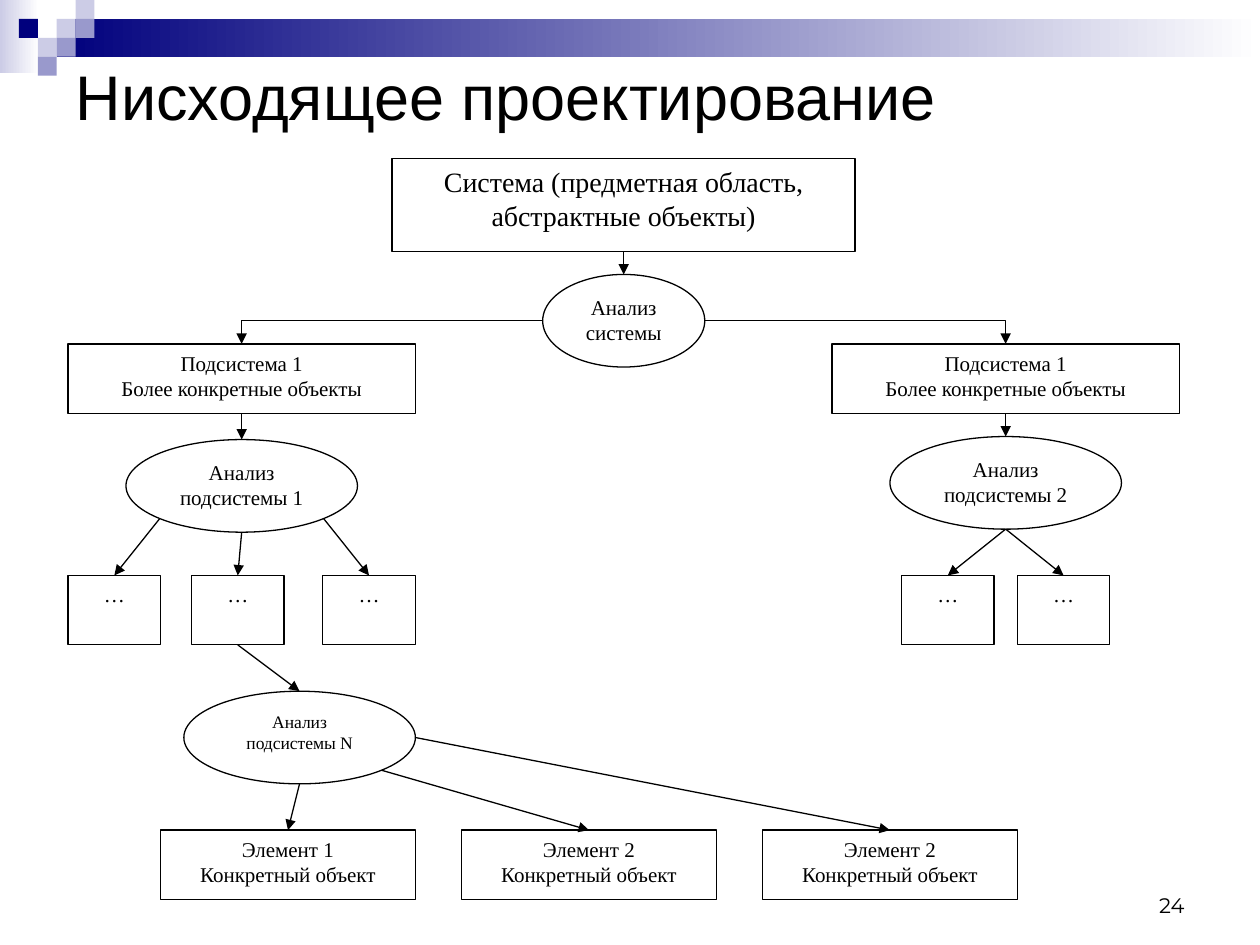
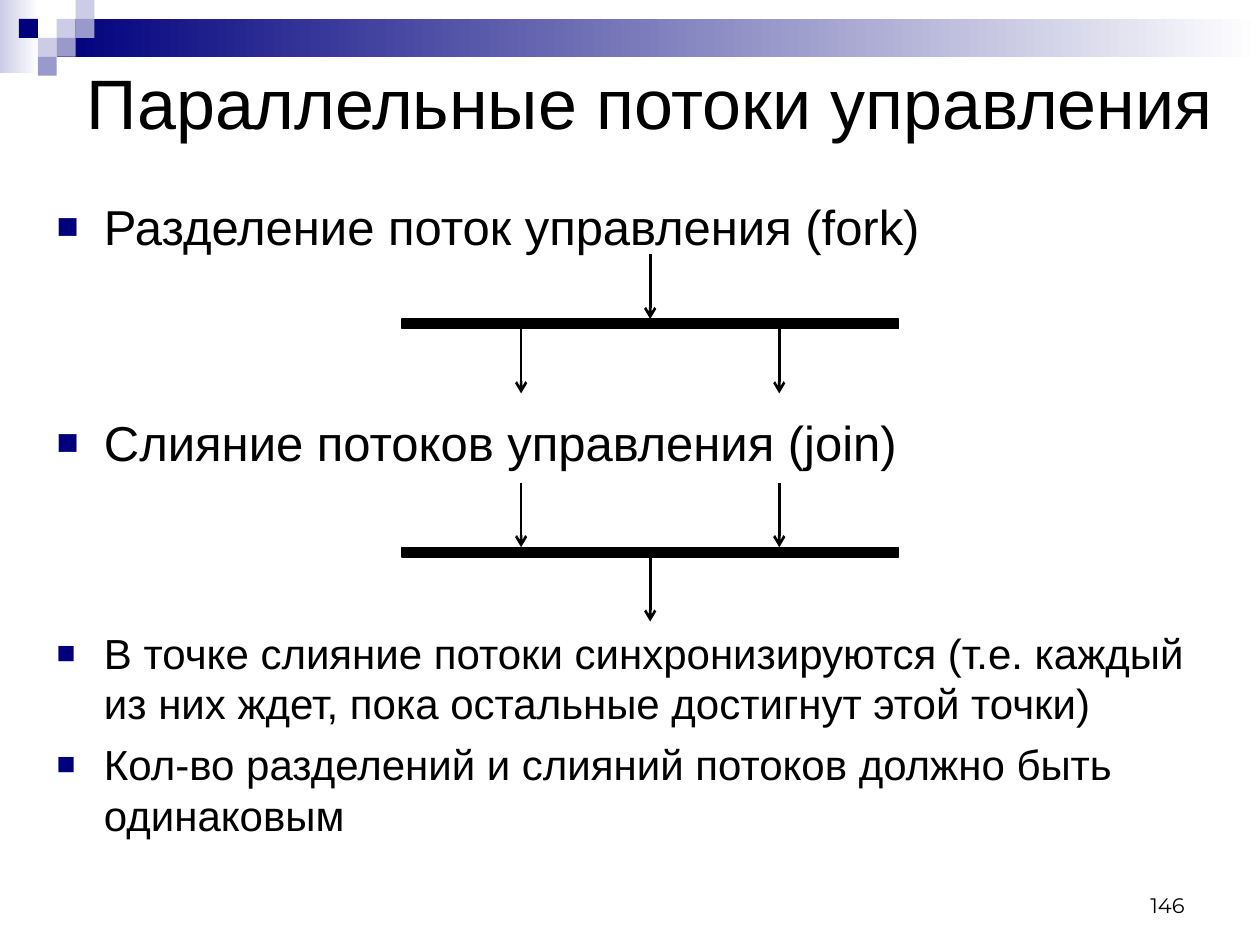
"""Build two lecture slides: a top-down design tree and parallel control flows."""
from collections import namedtuple
from dataclasses import dataclass

from lxml import etree
from pptx import Presentation
from pptx import util as u
from pptx.dml.color import RGBColor
from pptx.enum import shapes, text
from pptx.oxml import ns

Box = namedtuple("Box", "left top width height")
RECT, OVAL = shapes.MSO_SHAPE.RECTANGLE, shapes.MSO_SHAPE.OVAL
STRAIGHT, ELBOW = shapes.MSO_CONNECTOR.STRAIGHT, shapes.MSO_CONNECTOR.ELBOW
RECT_SITES = {"top": 0, "left": 1, "bottom": 2, "right": 3}
SITES = {"top": (0.5, 0), "left": (0, 0.5), "bottom": (0.5, 1), "right": (1, 0.5),
         "lower left": (0.146, 0.854), "lower right": (0.854, 0.854)}


@dataclass(frozen=True)
class Theme:
    """Colours, fonts and type sizes of the deck."""
    ink: str = "000000"
    paper: str = "FFFFFF"
    navy: str = "00007D"
    violet: str = "9999CC"
    lilac: str = "CCCCE6"
    sans: str = "Arial"
    serif: str = "Times New Roman"
    digits: str = "Montserrat"
    number: int = 12
    node: int = 12
    small_node: int = 10
    root_node: int = 16
    thin: float = 0.75
    thick: float = 1.5


THEME = Theme()


def rgb(name):
    """Return the colour for a hex string."""
    return RGBColor.from_string(name)


def points(values):
    """Turn numbers into lengths in points."""
    return [u.Pt(round(value, 2)) for value in values]


def set_font(para, name, size):
    """Give a paragraph its font, size and ink colour."""
    para.font.name, para.font.size = name, u.Pt(size)
    para.font.color.rgb = rgb(THEME.ink)


def add_shape(page, kind, box, fill, line=None):
    """Add a flat shape, outlined if a line colour is given."""
    shape = page.shapes.add_shape(kind, *points(box))
    shape.shadow.inherit = False
    shape.fill.solid()
    shape.fill.fore_color.rgb = rgb(fill)
    if line:
        shape.line.color.rgb = rgb(line)
        shape.line.width = u.Pt(THEME.thin)
    else:
        shape.line.fill.background()
    return shape


def add_arrow(page, start, end, head, width, kind=STRAIGHT):
    """Add a connector with an arrowhead at its end."""
    arrow = page.shapes.add_connector(kind, *points((*start, *end)))
    arrow.line.color.rgb = rgb(THEME.ink)
    arrow.line.width = u.Pt(width)
    etree.SubElement(arrow.line._get_or_add_ln(), ns.qn("a:tailEnd"), type=head)
    etree.SubElement(arrow.element.spPr, ns.qn("a:effectLst"))
    return arrow


def add_band(page, master):
    """Draw the gradient band and mosaic and move them to the master."""
    band = []
    for box, colour, first in ((Box(0, 0, 22.3, 41.8), THEME.lilac, 0),
                               (Box(32.4, 10.8, 687.6, 21.6), THEME.navy, 0)):
        strip = add_shape(page, RECT, box, colour)
        strip.fill.gradient()
        strip.fill.gradient_angle = 0
        for stop, position, tint in zip(strip.fill.gradient_stops, (0, 1),
                                        (colour, THEME.paper)):
            stop.position, stop.color.rgb = position, rgb(tint)
        band.append(strip)
    tile = 10.8
    for colour, cells in ((THEME.lilac, ((3, 1), (4, 0), (2, 2))),
                          (THEME.violet, ((4, 1), (3, 2), (2, 3))),
                          (THEME.navy, ((1, 1),))):
        for column, row in cells:
            box = Box(column * tile, row * tile, tile, tile)
            band.append(add_shape(page, RECT, box, colour))
    for shape in band:
        master.shapes.element.append(shape.element)


def place(holder, box):
    """Move a placeholder and return its text frame."""
    holder.left, holder.top, holder.width, holder.height = points(box)
    frame = holder.text_frame
    frame.word_wrap, frame.auto_size = True, text.MSO_AUTO_SIZE.NONE
    return frame


def add_title(page, box, words, size):
    """Fill the title placeholder."""
    frame = place(page.shapes.title, box)
    frame.vertical_anchor = text.MSO_ANCHOR.MIDDLE
    para = frame.paragraphs[0]
    para.text, para.alignment = words, text.PP_ALIGN.LEFT
    set_font(para, THEME.sans, size)


def add_number(page, number):
    """Write the page number at the lower right."""
    frame = page.shapes.add_textbox(*points((516.2, 491.8, 167.8, 36))).text_frame
    frame.word_wrap, frame.vertical_anchor = True, text.MSO_ANCHOR.BOTTOM
    para = frame.paragraphs[0]
    para.text, para.alignment = str(number), text.PP_ALIGN.RIGHT
    set_font(para, THEME.digits, THEME.number)


def add_list(page, box, items):
    """Fill the body placeholder with (text, size, space before) bullets."""
    frame = place(page.placeholders[1], box)
    frame.vertical_anchor = text.MSO_ANCHOR.TOP
    for index, (words, size, before) in enumerate(items):
        para = frame.add_paragraph() if index else frame.paragraphs[0]
        para.text, para.alignment = words, text.PP_ALIGN.LEFT
        para.space_before = u.Pt(before)
        props = para._p.get_or_add_pPr()
        props.set("marL", str(u.Pt(27)))
        props.set("indent", str(-u.Pt(27)))
        colour = etree.SubElement(props, ns.qn("a:buClr"))
        etree.SubElement(colour, ns.qn("a:srgbClr"), val=THEME.navy)
        etree.SubElement(props, ns.qn("a:buSzPct"), val="75000")
        etree.SubElement(props, ns.qn("a:buFont"), typeface=THEME.sans)
        etree.SubElement(props, ns.qn("a:buChar"), char="■")
        set_font(para, THEME.sans, size)


def site_of(shape, side):
    """Return the point on a shape's outline, in points."""
    across, down = SITES[side]
    return (shape.left.pt + across * shape.width.pt,
            shape.top.pt + down * shape.height.pt)


def link(page, source, side, target):
    """Lead an arrow from a side of one node to the top of another."""
    bent = side in ("left", "right") and source.top + source.height > target.top
    arrow = add_arrow(page, site_of(source, side), site_of(target, "top"),
                      "triangle", THEME.thin, ELBOW if bent else STRAIGHT)
    if bent:
        arrow.element.spPr.find(ns.qn("a:prstGeom")).set("prst", "bentConnector2")
        return
    if source.auto_shape_type == RECT:
        arrow.begin_connect(source, RECT_SITES[side])
    arrow.end_connect(target, RECT_SITES["top"])


def add_tree(page, box):
    """Draw the design tree on a grid of 48 columns across the box."""
    unit = box.width / 48

    def node(kind, column, row, width, height, *lines, size=THEME.node):
        """Add one captioned node at a grid position."""
        spot = Box(box.left + column * unit, box.top + row * unit,
                   width * unit, height * unit)
        shape = add_shape(page, kind, spot, THEME.paper, THEME.ink)
        frame = shape.text_frame
        frame.word_wrap, frame.vertical_anchor = True, text.MSO_ANCHOR.TOP
        for index, words in enumerate(lines):
            para = frame.add_paragraph() if index else frame.paragraphs[0]
            para.text, para.alignment = words, text.PP_ALIGN.CENTER
            set_font(para, THEME.serif, size)
        return shape

    root = node(RECT, 14, 0, 20, 4, "Система (предметная область, абстрактные объекты)",
                size=THEME.root_node)
    system = node(OVAL, 20.5, 5, 7, 4, "Анализ системы")
    link(page, root, "bottom", system)

    branches = (("left", 0, 12.13, "1", (("lower left", 0), ("bottom", 5.33),
                                         ("lower right", 11))),
                ("right", 33, 12, "2", (("bottom", 36), ("bottom", 41))))
    parts = []
    for side, column, row, mark, leaves in branches:
        subsystem = node(RECT, column, 8, 15, 3, "Подсистема 1",
                         "Более конкретные объекты")
        analysis = node(OVAL, column + 2.5, row, 10, 4, f"Анализ подсистемы {mark}")
        link(page, system, side, subsystem)
        link(page, subsystem, "bottom", analysis)
        for exit_side, leaf_column in leaves:
            parts.append(node(RECT, leaf_column, 18, 4, 3, "…"))
            link(page, analysis, exit_side, parts[-1])

    last = node(OVAL, 5, 23, 10, 4, "Анализ подсистемы N", size=THEME.small_node)
    link(page, parts[1], "bottom", last)
    exits = ("bottom", "lower right", "right")
    for index, (side, mark) in enumerate(zip(exits, "122")):
        element = node(RECT, 4 + 13 * index, 29, 11, 3, f"Элемент {mark}",
                       "Конкретный объект")
        link(page, last, side, element)


def add_sync(page, box, entries, exits):
    """Draw a bar with arrows entering above and leaving below."""
    thickness = 5.6
    reach = (box.height - thickness) / 2
    bar = add_shape(page, shapes.MSO_SHAPE.FLOWCHART_PROCESS,
                    Box(box.left, box.top + reach, box.width, thickness),
                    THEME.ink, THEME.ink)
    for shares, top, entering in ((entries, box.top, True),
                                  (exits, box.top + reach + thickness, False)):
        for share in shares:
            x = box.left + share * box.width
            arrow = add_arrow(page, (x, top), (x, top + reach), "arrow", THEME.thick)
            if share == 0.5 and entering:
                arrow.end_connect(bar, RECT_SITES["top"])
            elif share == 0.5:
                arrow.begin_connect(bar, RECT_SITES["bottom"])


def build_design_page(page):
    """Compose the top-down design slide."""
    add_title(page, Box(36, 25.9, 669.6, 56.9), "Нисходящее проектирование", 36)
    add_tree(page, Box(38.9, 90.7, 635, 423.4))
    add_number(page, 24)


def build_flows_page(page):
    """Compose the parallel flows slide."""
    add_title(page, Box(42.5, 31.7, 668.9, 52.6), "Параллельные потоки управления", 40)
    add_list(page, Box(25.2, 108.8, 668.9, 393), (
        ("Разделение поток управления (fork)", 28, 0),
        ("Слияние потоков управления (join)", 28, 89.5),
        ("В точке слияние потоки синхронизируются (т.е. каждый из них ждет, "
         "пока остальные достигнут этой точки)", 24, 89.5),
        ("Кол-во разделений и слияний потоков должно быть одинаковым", 24, 6)))
    one, two = (0.5,), (0.24, 0.76)
    add_sync(page, Box(229.7, 145.4, 283.7, 79.4), one, two)
    add_sync(page, Box(229.7, 275.8, 283.7, 79.4), two, one)
    add_number(page, 146)


def main():
    """Build and save the deck."""
    deck = Presentation()
    deck.slide_width, deck.slide_height = points((720, 540))
    design = deck.slides.add_slide(deck.slide_layouts[5])
    add_band(design, deck.slide_master)
    build_design_page(design)
    build_flows_page(deck.slides.add_slide(deck.slide_layouts[1]))
    deck.save("out.pptx")


if __name__ == "__main__":
    main()
